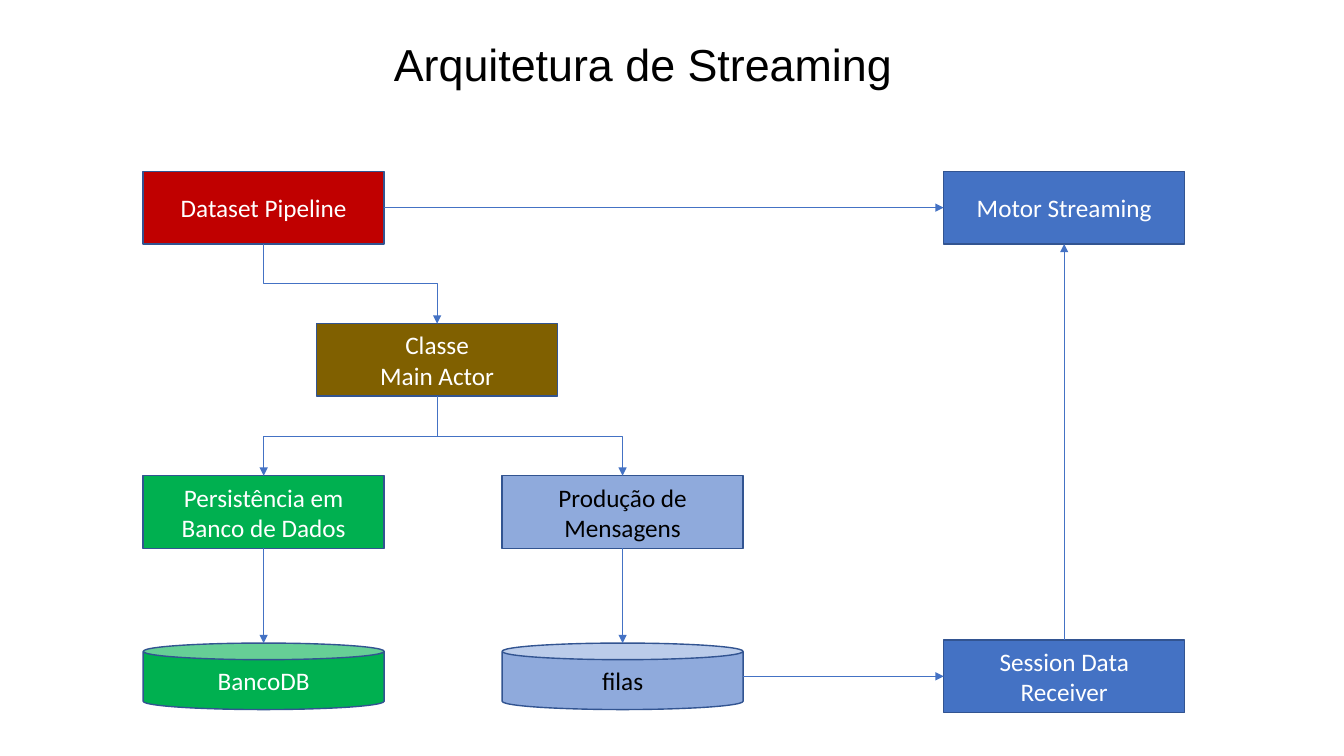
"""Build a slide with the streaming architecture diagram."""
from pptx import Presentation
from pptx.dml.color import RGBColor
from pptx.enum.shapes import MSO_CONNECTOR, MSO_SHAPE
from pptx.enum.text import MSO_ANCHOR, MSO_AUTO_SIZE, PP_ALIGN
from pptx.oxml.ns import qn
from pptx.util import Inches, Pt
from lxml.etree import SubElement

THEME = {
    "red": RGBColor.from_string("C00000"),
    "brown": RGBColor.from_string("806000"),
    "green": RGBColor.from_string("00B050"),
    "light_blue": RGBColor.from_string("8FAADC"),
    "blue": RGBColor.from_string("4472C4"),
    "outline": RGBColor.from_string("325491"),
    "white": RGBColor.from_string("FFFFFF"),
    "black": RGBColor.from_string("000000"),
    "title_font": "Arial",
    "body_font": "Calibri",
    "title_size": Pt(32),
    "body_size": Pt(18),
    "outline_width": Pt(1),
    "arrow_width": Pt(0.5),
}
TOP, LEFT, BOTTOM, RIGHT = range(4)
NODE_WIDTH, BOX_HEIGHT, CAN_HEIGHT = 2.39, 0.72, 0.66
LEFT_COLUMN, ACTOR_COLUMN, MESSAGE_COLUMN, STREAM_COLUMN = 1.42, 3.14, 4.98, 9.36
PIPELINE_ROW, ACTOR_ROW, TASK_ROW = (1.7 + 1.51 * row for row in range(3))
CAN_ROW, RECEIVER_ROW = 6.38, 6.35


def write_text(shape, lines, font_name, size, color):
    shape.text_frame.word_wrap = True
    shape.text_frame.text = "\n".join(lines)
    for paragraph in shape.text_frame.paragraphs:
        paragraph.alignment = PP_ALIGN.CENTER
        paragraph.font.name = font_name
        paragraph.font.size = size
        paragraph.font.color.rgb = color


def site_point(shape, site):
    x = shape.left + {LEFT: 0, RIGHT: shape.width}.get(site, shape.width // 2)
    y = shape.top + {TOP: 0, BOTTOM: shape.height}.get(site, shape.height // 2)
    return x, y


presentation = Presentation()
presentation.slide_width = Inches(13.33)
presentation.slide_height = Inches(7.5)
slide = presentation.slides.add_slide(presentation.slide_layouts[6])

nodes = [
    ("pipeline", ["Dataset Pipeline"], LEFT_COLUMN, PIPELINE_ROW, "red", "white"),
    ("actor", ["Classe", "Main Actor"], ACTOR_COLUMN, ACTOR_ROW, "brown", "white"),
    ("persistence", ["Persistência em Banco de Dados"], LEFT_COLUMN, TASK_ROW, "green", "white"),
    ("producer", ["Produção de Mensagens"], MESSAGE_COLUMN, TASK_ROW, "light_blue", "black"),
    ("database", ["BancoDB"], LEFT_COLUMN, CAN_ROW, "green", "white"),
    ("queue", ["filas"], MESSAGE_COLUMN, CAN_ROW, "light_blue", "black"),
    ("streaming", ["Motor Streaming"], STREAM_COLUMN, PIPELINE_ROW, "blue", "white"),
    ("receiver", ["Session Data Receiver"], STREAM_COLUMN, RECEIVER_ROW, "blue", "white"),
]
cans = ("database", "queue")
shapes = {}
for name, lines, left, top, fill, text_color in nodes:
    is_can = name in cans
    shape = slide.shapes.add_shape(
        MSO_SHAPE.CAN if is_can else MSO_SHAPE.RECTANGLE,
        Inches(left), Inches(top),
        Inches(NODE_WIDTH), Inches(CAN_HEIGHT if is_can else BOX_HEIGHT),
    )
    shape.shadow.inherit = False
    shape.fill.solid()
    shape.fill.fore_color.rgb = THEME[fill]
    shape.line.color.rgb = THEME["outline"]
    shape.line.width = THEME["outline_width"]
    shape.text_frame.vertical_anchor = MSO_ANCHOR.MIDDLE
    write_text(shape, lines, THEME["body_font"], THEME["body_size"], THEME[text_color])
    shapes[name] = shape

title = slide.shapes.add_textbox(Inches(2.2), Inches(0.32), Inches(8.36), Inches(0.64))
write_text(title, ["Arquitetura de Streaming"], THEME["title_font"], THEME["title_size"], THEME["black"])
title.text_frame.auto_size = MSO_AUTO_SIZE.SHAPE_TO_FIT_TEXT

arrows = [
    ("pipeline", RIGHT, "streaming", LEFT, MSO_CONNECTOR.STRAIGHT),
    ("pipeline", BOTTOM, "actor", TOP, MSO_CONNECTOR.ELBOW),
    ("actor", BOTTOM, "producer", TOP, MSO_CONNECTOR.ELBOW),
    ("actor", BOTTOM, "persistence", TOP, MSO_CONNECTOR.ELBOW),
    ("persistence", BOTTOM, "database", TOP, MSO_CONNECTOR.STRAIGHT),
    ("producer", BOTTOM, "queue", TOP, MSO_CONNECTOR.STRAIGHT),
    ("queue", RIGHT, "receiver", LEFT, MSO_CONNECTOR.STRAIGHT),
    ("receiver", TOP, "streaming", BOTTOM, MSO_CONNECTOR.STRAIGHT),
]
for source, source_site, target, target_site, kind in arrows:
    begin_x, begin_y = site_point(shapes[source], source_site)
    end_x, end_y = site_point(shapes[target], target_site)
    connector = slide.shapes.add_connector(kind, begin_x, begin_y, end_x, end_y)
    if source not in cans:
        connector.begin_connect(shapes[source], source_site)
    if target not in cans:
        connector.end_connect(shapes[target], target_site)
    if kind == MSO_CONNECTOR.ELBOW:
        run, drop = abs(end_x - begin_x), end_y - begin_y
        connector.left = (begin_x + end_x - drop) // 2
        connector.top = (begin_y + end_y - run) // 2
        connector.width, connector.height = drop, run
        goes_right = end_x > begin_x
        transform = connector.element.spPr.find(qn("a:xfrm"))
        transform.set("rot", str((270 if goes_right else 90) * 60000))
        transform.set("flipH", "1" if goes_right else "0")
    connector.line.color.rgb = THEME["blue"]
    connector.line.width = THEME["arrow_width"]
    properties = connector.element.spPr
    SubElement(properties.find(qn("a:ln")), qn("a:tailEnd"), type="triangle")
    SubElement(properties, qn("a:effectLst"))

presentation.save("out.pptx")
